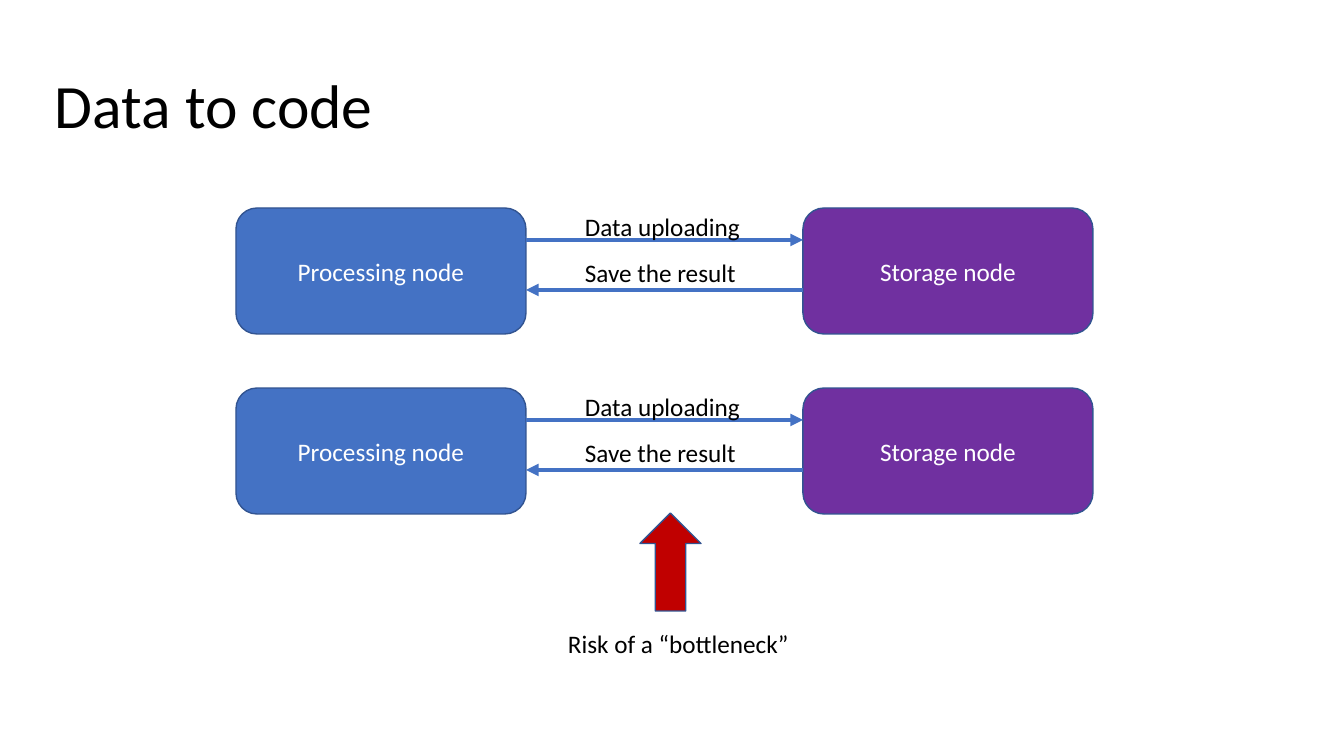
from lxml import etree
from pptx import Presentation
from pptx.dml.color import RGBColor
from pptx.enum.shapes import MSO_CONNECTOR, MSO_SHAPE
from pptx.enum.text import MSO_ANCHOR, MSO_AUTO_SIZE, PP_ALIGN
from pptx.oxml.ns import qn
from pptx.util import Emu, Pt

STRAIGHT = MSO_CONNECTOR.STRAIGHT
ROUNDED, UP_ARROW = MSO_SHAPE.ROUNDED_RECTANGLE, MSO_SHAPE.UP_ARROW
MIDDLE, CENTER = MSO_ANCHOR.MIDDLE, PP_ALIGN.CENTER
FIT_SHAPE = MSO_AUTO_SIZE.SHAPE_TO_FIT_TEXT

BLACK = RGBColor(0x00, 0x00, 0x00)
WHITE = RGBColor(0xFF, 0xFF, 0xFF)
BLUE = RGBColor(0x44, 0x72, 0xC4)
OUTLINE = RGBColor(0x32, 0x54, 0x91)
PURPLE = RGBColor(0x70, 0x30, 0xA0)
RED = RGBColor(0xC0, 0x00, 0x00)

SLIDE_W, SLIDE_H = 1344, 756
SCALE = 12192000 / SLIDE_W
NODE_W, NODE_H = 290, 126


def px(*lengths):
    return [Emu(round(n * SCALE)) for n in lengths]


def write(p, text, size=18, color=BLACK):
    r = p.add_run()
    r.text = text
    for name, value in {"name": "Calibri", "size": Pt(size)}.items():
        setattr(r.font, name, value)
    r.font.color.rgb = color


def add_title(s, box, text):
    tf = s.shapes.add_textbox(*px(*box)).text_frame
    margin, = px(10)
    settings = {"word_wrap": True, "vertical_anchor": MIDDLE,
                "margin_left": margin, "margin_right": margin,
                "margin_top": margin, "margin_bottom": margin}
    for name, value in settings.items():
        setattr(tf, name, value)
    tf.paragraphs[0].line_spacing = 0.9
    write(tf.paragraphs[0], text, 44)


def add_label(s, box, text):
    tf = s.shapes.add_textbox(*px(*box)).text_frame
    tf.word_wrap = False
    tf.auto_size = FIT_SHAPE
    write(tf.paragraphs[0], text)


def add_filled(s, preset, box, fill):
    sp = s.shapes.add_shape(preset, *px(*box))
    sp.shadow.inherit = False
    sp.fill.solid()
    sp.fill.fore_color.rgb = fill
    sp.line.color.rgb = OUTLINE
    sp.line.width = Pt(1)
    return sp


def add_node(s, box, text, fill):
    tf = add_filled(s, ROUNDED, box, fill).text_frame
    tf.word_wrap = True
    tf.vertical_anchor = MIDDLE
    p = tf.paragraphs[0]
    p.alignment = CENTER
    write(p, text, color=WHITE)


def add_arrow(s, x1, x2, y):
    cxn = s.shapes.add_connector(STRAIGHT, *px(x1, y, x2, y))
    cxn.line.color.rgb = BLUE
    cxn.line.width = Pt(3)
    etree.SubElement(cxn.line._get_or_add_ln(), qn("a:tailEnd"), type="triangle")
    etree.SubElement(cxn._element.spPr, qn("a:effectLst"))


def add_exchange(s, x, y, w):
    """Draw a processing node and a storage node with the traffic between them."""
    left, right = x + NODE_W, x + w - NODE_W
    add_node(s, (x, y, NODE_W, NODE_H), "Processing node", BLUE)
    add_node(s, (right, y, NODE_W, NODE_H), "Storage node", PURPLE)
    add_arrow(s, left, right, y + 32)
    add_arrow(s, right, left, y + 82)
    add_label(s, (left + 49, y - 2, 177, 40), "Data uploading")
    add_label(s, (left + 49, y + 44, 173, 40), "Save the result")


def add_warning(s, x, y):
    add_filled(s, UP_ARROW, (x + 82, y, 61, 98), RED)
    add_label(s, (x, y + 110, 244, 40), "Risk of a “bottleneck”")


def main():
    prs = Presentation()
    prs.slide_width, prs.slide_height = px(SLIDE_W, SLIDE_H)
    s = prs.slides.add_slide(prs.slide_layouts[6])
    add_title(s, (45, 66, 1252, 85), "Data to code")
    for row in range(2):
        add_exchange(s, 236, 208 + 180 * row, 857)
    add_warning(s, 558, 513)
    prs.save("out.pptx")


if __name__ == "__main__":
    main()
